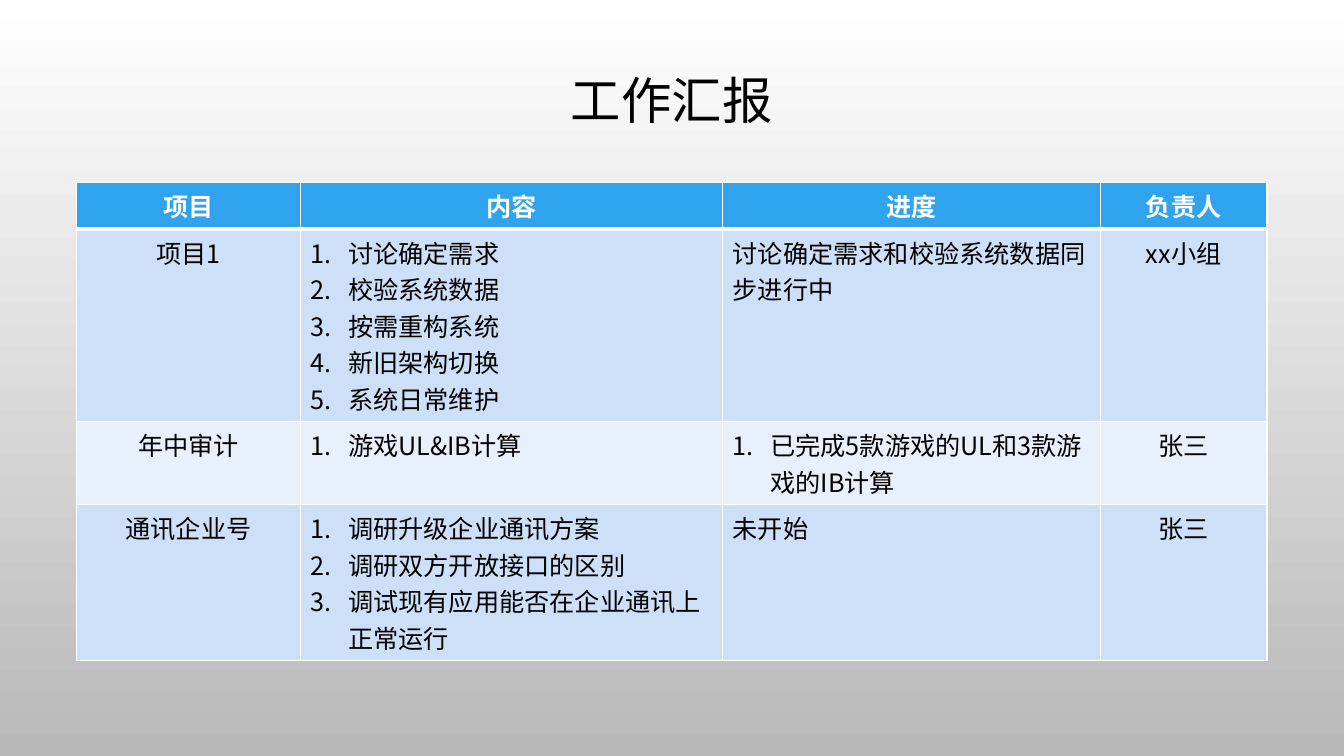
import dataclasses
import typing

import pptx
import pptx.dml.color
import pptx.enum.text
import pptx.oxml
import pptx.oxml.ns
import pptx.util

Cm = pptx.util.Cm
Pt = pptx.util.Pt
ALIGN = pptx.enum.text.PP_ALIGN
ANCHOR = pptx.enum.text.MSO_ANCHOR
FACE = "Noto Sans CJK SC"
HUES = {
    "white": "FFFFFF",
    "grey": "B9B9B9",
    "black": "000000",
    "head": "2FA3EE",
    "odd": "CDE0F8",
    "even": "E8F0FC",
}
WIDTHS = (5.64, 10.64, 9.52, 4.2)
LINE = 0.92  # height of one text line
PAD = 0.25  # cell margins above and below


@dataclasses.dataclass
class Entry:
    lines: typing.Sequence[str]
    align: ALIGN = ALIGN.LEFT
    listed: bool = False


@dataclasses.dataclass
class Row:
    entries: typing.Sequence[Entry]
    count: int
    fill: str
    ink: str = "black"
    bold: bool = False
    rule: float = 1


def mid(text: str) -> Entry:
    return Entry([text], ALIGN.CENTER)


def steps(*lines: str) -> Entry:
    return Entry(lines, listed=True)


ROWS = [
    Row([mid(text) for text in ("项目", "内容", "进度", "负责人")],
        1, "head", "white", True, 3),
    Row([mid("项目1"),
         steps("讨论确定需求", "校验系统数据", "按需重构系统",
               "新旧架构切换", "系统日常维护"),
         Entry(["讨论确定需求和校验系统数据同步进行中"]),
         mid("xx小组")], 5, "odd"),
    Row([mid("年中审计"),
         steps("游戏UL&IB计算"),
         steps("已完成5款游戏的UL和3款游戏的IB计算"),
         mid("张三")], 2, "even"),
    Row([mid("通讯企业号"),
         steps("调研升级企业通讯方案", "调研双方开放接口的区别",
               "调试现有应用能否在企业通讯上正常运行"),
         Entry(["未开始"]),
         mid("张三")], 4, "odd"),
]


def rgb(hue: str) -> pptx.dml.color.RGBColor:
    return pptx.dml.color.RGBColor.from_string(HUES[hue])


def apply(item: typing.Any, form: dict[str, typing.Any]) -> None:
    for name, value in form.items():
        setattr(item, name, value)


def node(xml: str) -> typing.Any:
    space = pptx.oxml.ns.nsdecls("a")
    return pptx.oxml.parse_xml(xml.replace(" ", f" {space} ", 1))


def write(para: typing.Any, text: str, size: float, hue: str, bold: bool) -> None:
    run = para.add_run()
    run.text = text
    apply(run.font, {"name": FACE, "size": Pt(size), "bold": bold})
    run.font.color.rgb = rgb(hue)
    run.font._element.append(node(f'<a:ea typeface="{FACE}"/>'))


def number(para: typing.Any) -> None:
    props = para._p.get_or_add_pPr()
    props.set("marL", str(Cm(0.95)))
    props.set("indent", str(-Cm(0.95)))
    props.append(node('<a:buAutoNum type="arabicPeriod"/>'))


def border(cell: typing.Any, sides: dict[str, float]) -> None:
    props = cell._tc.get_or_add_tcPr()
    for side, width in sides.items():
        props.append(node(
            f'<a:ln{side} w="{Pt(width)}"><a:solidFill>'
            f'<a:srgbClr val="{HUES["white"]}"/></a:solidFill></a:ln{side}>'))


def fill_cell(cell: typing.Any, entry: Entry, row: Row, top: float) -> None:
    border(cell, {"L": 1, "R": 1, "T": top, "B": row.rule})
    cell.fill.solid()
    cell.fill.fore_color.rgb = rgb(row.fill)
    frame = cell.text_frame
    for pos, text in enumerate(entry.lines):
        para = frame.add_paragraph() if pos else frame.paragraphs[0]
        para.alignment = entry.align
        if entry.listed:
            number(para)
        write(para, text, 18, row.ink, row.bold)


def draw_back(slide: typing.Any) -> None:
    fill = slide.background.fill
    fill.gradient()
    fill.gradient_angle = 270
    for stop, hue in zip(fill.gradient_stops, ("white", "grey")):
        stop.color.rgb = rgb(hue)


def draw_title(slide: typing.Any) -> None:
    box = slide.shapes.add_textbox(Cm(2.54), Cm(1.73), Cm(28.78), Cm(1.75))
    apply(box.text_frame, {"word_wrap": True, "vertical_anchor": ANCHOR.MIDDLE})
    para = box.text_frame.paragraphs[0]
    apply(para, {"alignment": ALIGN.CENTER, "line_spacing": 0.9})
    write(para, "工作汇报", 36, "black", False)


def draw_table(slide: typing.Any) -> None:
    tall = [PAD + LINE * row.count for row in ROWS]
    table = slide.shapes.add_table(
        len(ROWS), len(WIDTHS), Cm(1.93), Cm(4.6),
        Cm(sum(WIDTHS)), Cm(sum(tall))).table
    table.horz_banding = False
    for col, width in zip(table.columns, WIDTHS):
        col.width = Cm(width)
    top = 1
    for line, row, height in zip(table.rows, ROWS, tall):
        line.height = Cm(height)
        for cell, entry in zip(line.cells, row.entries):
            fill_cell(cell, entry, row, top)
        top = row.rule


def main() -> None:
    deck = pptx.Presentation()
    apply(deck, {"slide_width": Cm(33.87), "slide_height": Cm(19.05)})
    slide = deck.slides.add_slide(deck.slide_layouts[6])
    draw_back(slide)
    draw_title(slide)
    draw_table(slide)
    deck.save("out.pptx")


if __name__ == "__main__":
    main()
